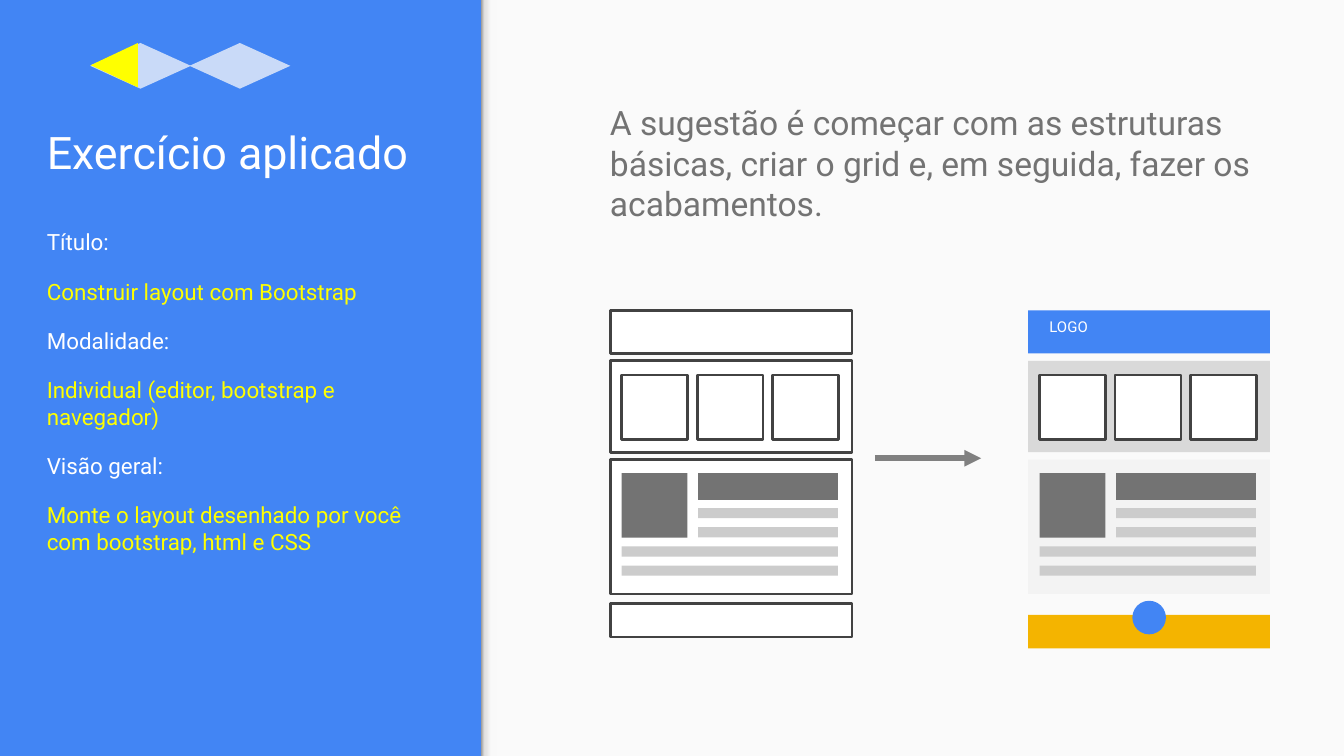
from dataclasses import dataclass
from typing import Optional

import lxml.etree
import pptx
import pptx.dml.color
import pptx.enum.dml
import pptx.enum.shapes
import pptx.enum.text
import pptx.oxml.ns
import pptx.util

SHAPES = pptx.enum.shapes.MSO_SHAPE
ANCHORS = pptx.enum.text.MSO_ANCHOR
COLUMNS, ROWS = 100, 56.25
CELL = pptx.util.Inches(0.1)


@dataclass(frozen=True)
class Theme:
    font: str = "Roboto"
    blue: str = "4285F4"
    pale_blue: str = "C9DAF8"
    yellow: str = "FFFF00"
    amber: str = "F4B400"
    white: str = "FFFFFF"
    paper: str = "FAFAFA"
    outline: str = "424242"
    dark: str = "737373"
    arrow: str = "808080"
    bar: str = "CCCCCC"
    band: str = "D9D9D9"
    article: str = "F3F3F3"
    edge: tuple = ((0, "999999"), (20, "DEDEDE"), (64, "F9F9F9"), (100, "F9F9F9"))
    title_size: float = 24
    lead_size: float = 18
    body_size: float = 12
    label_size: float = 8
    outline_width: float = 1.5
    arrow_width: float = 3


@dataclass(frozen=True)
class Box:
    column: float
    row: float
    width: float
    height: float


@dataclass(frozen=True)
class Line:
    text: str
    color: str
    before: float = 0


@dataclass(frozen=True)
class Section:
    row: float
    height: float
    fill: str


@dataclass(frozen=True)
class Mockup:
    column: float
    sections: tuple[Section, ...]
    outline: Optional[str] = None


THEME = Theme()


def rgb(color: str) -> pptx.dml.color.RGBColor:
    return pptx.dml.color.RGBColor.from_string(color)


def grid(*cells: float) -> list[int]:
    return [round(cell * CELL) for cell in cells]


def place(box: Box) -> list[int]:
    return grid(box.column, box.row, box.width, box.height)


def add_block(slide, box: Box, fill: str, outline: Optional[str] = None,
              kind=SHAPES.RECTANGLE):
    shape = slide.shapes.add_shape(kind, *place(box))
    shape.shadow.inherit = False
    shape.fill.solid()
    shape.fill.fore_color.rgb = rgb(fill)
    if outline:
        shape.line.color.rgb = rgb(outline)
        shape.line.width = pptx.util.Pt(THEME.outline_width)
    else:
        shape.line.fill.background()
    return shape


def add_text(slide, box: Box, lines: list[Line], size: float, anchor=ANCHORS.TOP) -> None:
    frame = slide.shapes.add_textbox(*place(box)).text_frame
    frame.word_wrap = True
    frame.vertical_anchor = anchor
    frame.margin_left = frame.margin_right = CELL
    frame.margin_top = frame.margin_bottom = CELL
    for index, line in enumerate(lines):
        paragraph = frame.add_paragraph() if index else frame.paragraphs[0]
        if line.before:
            paragraph.space_before = pptx.util.Pt(line.before)
        run = paragraph.add_run()
        run.text = line.text
        run.font.name = THEME.font
        run.font.size = pptx.util.Pt(size)
        run.font.color.rgb = rgb(line.color)


def add_panel_edge(slide, box: Box) -> None:
    shape = add_block(slide, box, THEME.paper)
    shape.fill.gradient()
    shape.fill.gradient_angle = 0
    qualified = pptx.oxml.ns.qn
    stops = shape.element.spPr.find(".//" + qualified("a:gsLst"))
    for stop in list(stops):
        stops.remove(stop)
    for position, color in THEME.edge:
        stop = lxml.etree.SubElement(stops, qualified("a:gs"), pos=str(position * 1000))
        lxml.etree.SubElement(stop, qualified("a:srgbClr"), val=color)


def add_arrow(slide, start: tuple[float, float], end: tuple[float, float]) -> None:
    connector = slide.shapes.add_connector(
        pptx.enum.shapes.MSO_CONNECTOR.STRAIGHT, *grid(*start, *end))
    connector.line.color.rgb = rgb(THEME.arrow)
    connector.line.width = pptx.util.Pt(THEME.arrow_width)
    qualified = pptx.oxml.ns.qn
    lxml.etree.SubElement(connector.line._get_or_add_ln(), qualified("a:tailEnd"), type="triangle")
    lxml.etree.SubElement(connector.element.spPr, qualified("a:effectLst"))


def add_mockup(slide, mockup: Mockup) -> None:
    for section in mockup.sections:
        box = Box(mockup.column, section.row, 18, section.height)
        add_block(slide, box, section.fill, mockup.outline)
    inner = mockup.column + 0.85
    for card in range(3):
        box = Box(inner + card * 5.62, 27.9, 4.9, 4.8)
        add_block(slide, box, THEME.white, THEME.outline)
    add_block(slide, Box(inner, 35.2, 4.9, 4.8), THEME.dark)
    add_block(slide, Box(inner + 5.7, 35.2, 10.4, 2), THEME.dark)
    for index in range(4):
        indent = 5.7 if index < 2 else 0
        box = Box(inner + indent, 37.8 + index * 1.43, 16.1 - indent, 0.75)
        add_block(slide, box, THEME.bar)


def main() -> None:
    presentation = pptx.Presentation()
    presentation.slide_width, presentation.slide_height = grid(COLUMNS, ROWS)
    slide = presentation.slides.add_slide(presentation.slide_layouts[6])
    slide.background.fill.solid()
    slide.background.fill.fore_color.rgb = rgb(THEME.blue)

    panel = 35.8
    add_block(slide, Box(panel, 0, COLUMNS - panel, ROWS), THEME.paper)
    add_panel_edge(slide, Box(panel, 0, 1.2, ROWS))

    add_text(slide, Box(2.5, 3.9, 30.7, 10.4), [Line("Exercício aplicado", THEME.white)],
             THEME.title_size, ANCHORS.BOTTOM)
    details = (
        ("Título:", "Construir layout com Bootstrap"),
        ("Modalidade:", "Individual (editor, bootstrap e navegador)"),
        ("Visão geral:", "Monte o layout desenhado por você com bootstrap, html e CSS"),
    )
    lines = []
    for index, (label, value) in enumerate(details):
        lines += [Line(label, THEME.white, 12 if index else 0), Line(value, THEME.yellow, 12)]
    add_text(slide, Box(2.5, 16, 30.7, 34.6), lines, THEME.body_size)

    for step in range(2):
        box = Box(6.7 + step * 7.4, 3.2, 7.5, 3.4)
        add_block(slide, box, THEME.pale_blue, kind=SHAPES.DIAMOND)
    progress = add_block(slide, Box(6.85, 3.1, 3.3, 3.5), THEME.yellow,
                         kind=SHAPES.ISOSCELES_TRIANGLE)
    progress.rotation = 270

    lead = ("A sugestão é começar com as estruturas básicas, criar o grid e, "
            "em seguida, fazer os acabamentos.")
    add_text(slide, Box(44.4, 6.6, 50.7, 11.1), [Line(lead, THEME.dark)], THEME.lead_size)

    layout = ((23.1, 3.2), (26.85, 6.8), (34.2, 10))
    wireframe = tuple(Section(row, height, THEME.white) for row, height in (*layout, (44.9, 2.5)))
    fills = (THEME.blue, THEME.band, THEME.article, THEME.amber)
    finished = tuple(Section(row, height, fill)
                     for (row, height), fill in zip((*layout, (45.75, 2.5)), fills))
    add_mockup(slide, Mockup(45.4, wireframe, THEME.outline))
    add_mockup(slide, Mockup(76.5, finished))
    add_text(slide, Box(77.1, 23, 5.5, 3.4), [Line("LOGO", THEME.white)], THEME.label_size)
    add_block(slide, Box(84.25, 44.7, 2.5, 2.5), THEME.blue, kind=SHAPES.OVAL)
    add_arrow(slide, (65.1, 34.1), (73, 34.1))

    presentation.save("out.pptx")


if __name__ == "__main__":
    main()
